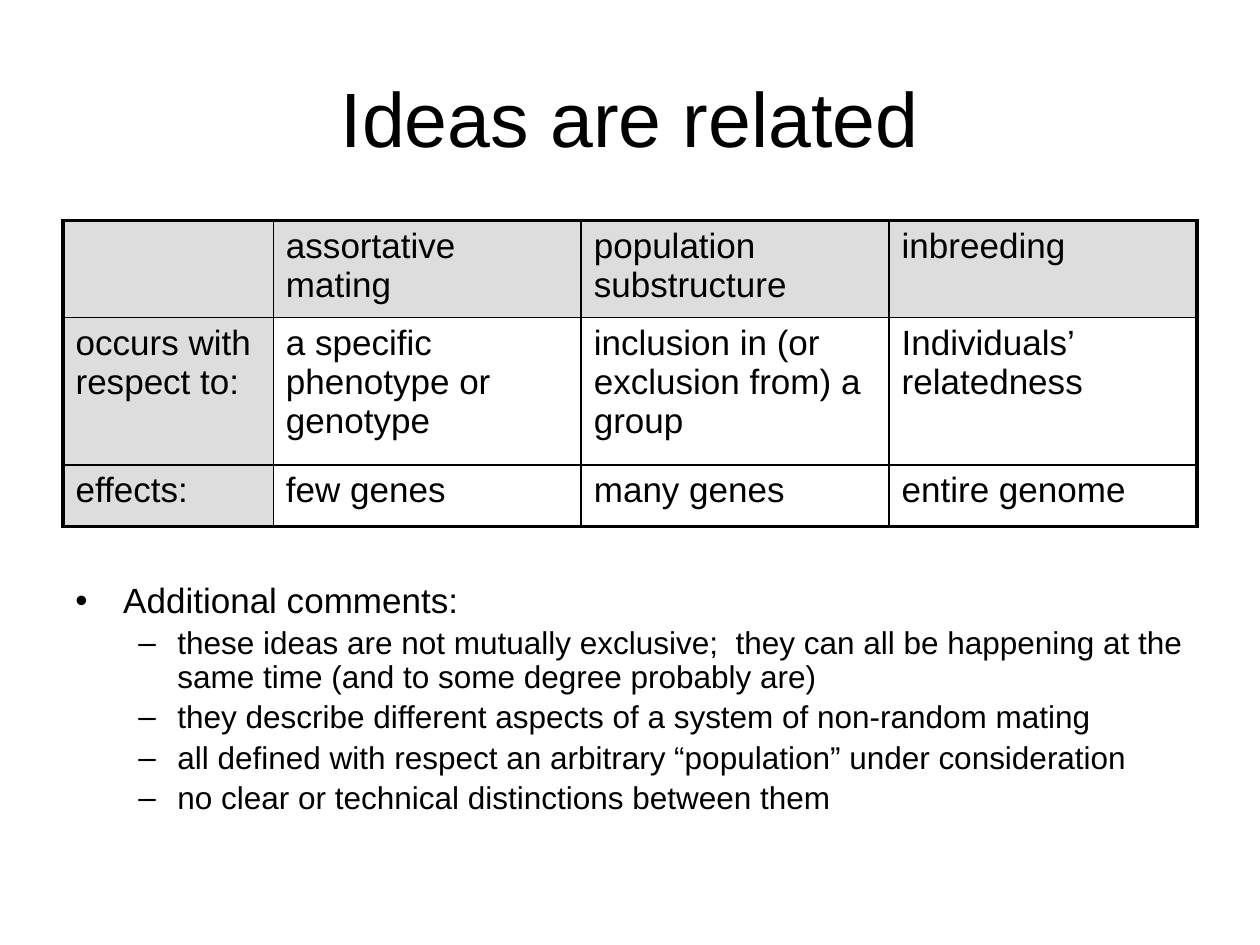
import pptx
import pptx.dml.color
import pptx.enum.text
import pptx.oxml.ns
import pptx.util
from lxml import etree

COLORS = {"ink": "000000", "heading": "DDDDDD", "paper": "FFFFFF"}

COMPARISON = [
    ["", "assortative mating", "population substructure", "inbreeding"],
    ["occurs with respect to:", "a specific phenotype or genotype",
     "inclusion in (or exclusion from) a group", "Individuals’ relatedness"],
    ["effects:", "few genes", "many genes", "entire genome"],
]

COMMENTS = [
    (0, "Additional comments:"),
    (1, "these ideas are not mutually exclusive;  they can all be happening at the "
        "same time (and to some degree probably are)"),
    (1, "they describe different aspects of a system of non-random mating"),
    (1, "all defined with respect an arbitrary “population” under consideration"),
    (1, "no clear or technical distinctions between them"),
]

BULLET_LEVELS = [
    {"mark": "•", "size": 20, "indent": 0.38, "hang": 0.38},
    {"mark": "–", "size": 18, "indent": 0.81, "hang": 0.31},
]


class Sheet:
    """Style and current slide, measured on a grid of 20 columns by 15 rows."""

    font = "Arial"
    unit = 0.5
    thin, thick = 1, 2.25

    def __init__(self, slide):
        self.slide = slide

    def span(self, *cells):
        return [pptx.util.Inches(cell * self.unit) for cell in cells]

    def color(self, name):
        return pptx.dml.color.RGBColor.from_string(COLORS[name])

    def run(self, paragraph, wording, size):
        run = paragraph.add_run()
        run.text = wording
        run.font.name = self.font
        run.font.size = pptx.util.Pt(size)
        run.font.color.rgb = self.color("ink")

    def frame(self, col, row, cols, rows):
        frame = self.slide.shapes.add_textbox(*self.span(col, row, cols, rows)).text_frame
        frame.word_wrap = True
        return frame

    def title(self, wording, *place):
        frame = self.frame(*place)
        frame.vertical_anchor = pptx.enum.text.MSO_ANCHOR.MIDDLE
        heading = frame.paragraphs[0]
        heading.alignment = pptx.enum.text.PP_ALIGN.CENTER
        self.run(heading, wording, 44)

    def borders(self, cell, widths):
        properties = cell._tc.get_or_add_tcPr()
        for position, (side, width) in enumerate(widths.items()):
            line = etree.Element(pptx.oxml.ns.qn(f"a:ln{side}"), w=str(pptx.util.Pt(width)))
            fill = etree.SubElement(line, pptx.oxml.ns.qn("a:solidFill"))
            etree.SubElement(fill, pptx.oxml.ns.qn("a:srgbClr"), val=COLORS["ink"])
            properties.insert(position, line)

    def table(self, entries, col, row, widths, heights):
        last_row, last_col = len(heights) - 1, len(widths) - 1
        place = self.span(col, row, sum(widths), sum(heights))
        table = self.slide.shapes.add_table(len(heights), len(widths), *place).table
        for column, width in zip(table.columns, self.span(*widths)):
            column.width = width
        for line, height in zip(table.rows, self.span(*heights)):
            line.height = height
        for r, line in enumerate(entries):
            for c, wording in enumerate(line):
                cell = table.cell(r, c)
                cell.fill.solid()
                cell.fill.fore_color.rgb = self.color("paper" if r and c else "heading")
                outer = {"L": c == 0, "R": c == last_col, "T": r == 0, "B": r == last_row}
                self.borders(cell, {side: self.thick if edge else self.thin
                                    for side, edge in outer.items()})
                if wording:
                    self.run(cell.text_frame.paragraphs[0], wording, 20)

    def bullets(self, items, *place):
        frame = self.frame(*place)
        for number, (depth, wording) in enumerate(items):
            level = BULLET_LEVELS[depth]
            paragraph = frame.add_paragraph() if number else frame.paragraphs[0]
            paragraph.level = depth
            paragraph.line_spacing = 0.9
            paragraph.space_before = pptx.util.Pt(level["size"] * 0.2 if number else 0)
            properties = paragraph._p.get_or_add_pPr()
            properties.set("marL", str(pptx.util.Inches(level["indent"])))
            properties.set("indent", str(-pptx.util.Inches(level["hang"])))
            etree.SubElement(properties, pptx.oxml.ns.qn("a:buFont"), typeface=self.font)
            etree.SubElement(properties, pptx.oxml.ns.qn("a:buChar"), char=level["mark"])
            self.run(paragraph, wording, level["size"])


def main():
    deck = pptx.Presentation()
    deck.slide_width = pptx.util.Inches(10)
    deck.slide_height = pptx.util.Inches(7.5)
    sheet = Sheet(deck.slides.add_slide(deck.slide_layouts[6]))
    sheet.title("Ideas are related", 1, 0.6, 18, 2.5)
    label_width = 3.34
    idea_widths = [(18 - label_width) / 3] * 3
    sheet.table(COMPARISON, 1, 3.5, [label_width, *idea_widths], [1.54, 2.34, 0.98])
    sheet.bullets(COMMENTS, 1, 9.16, 18, 4.5)
    deck.save("out.pptx")


if __name__ == "__main__":
    main()
